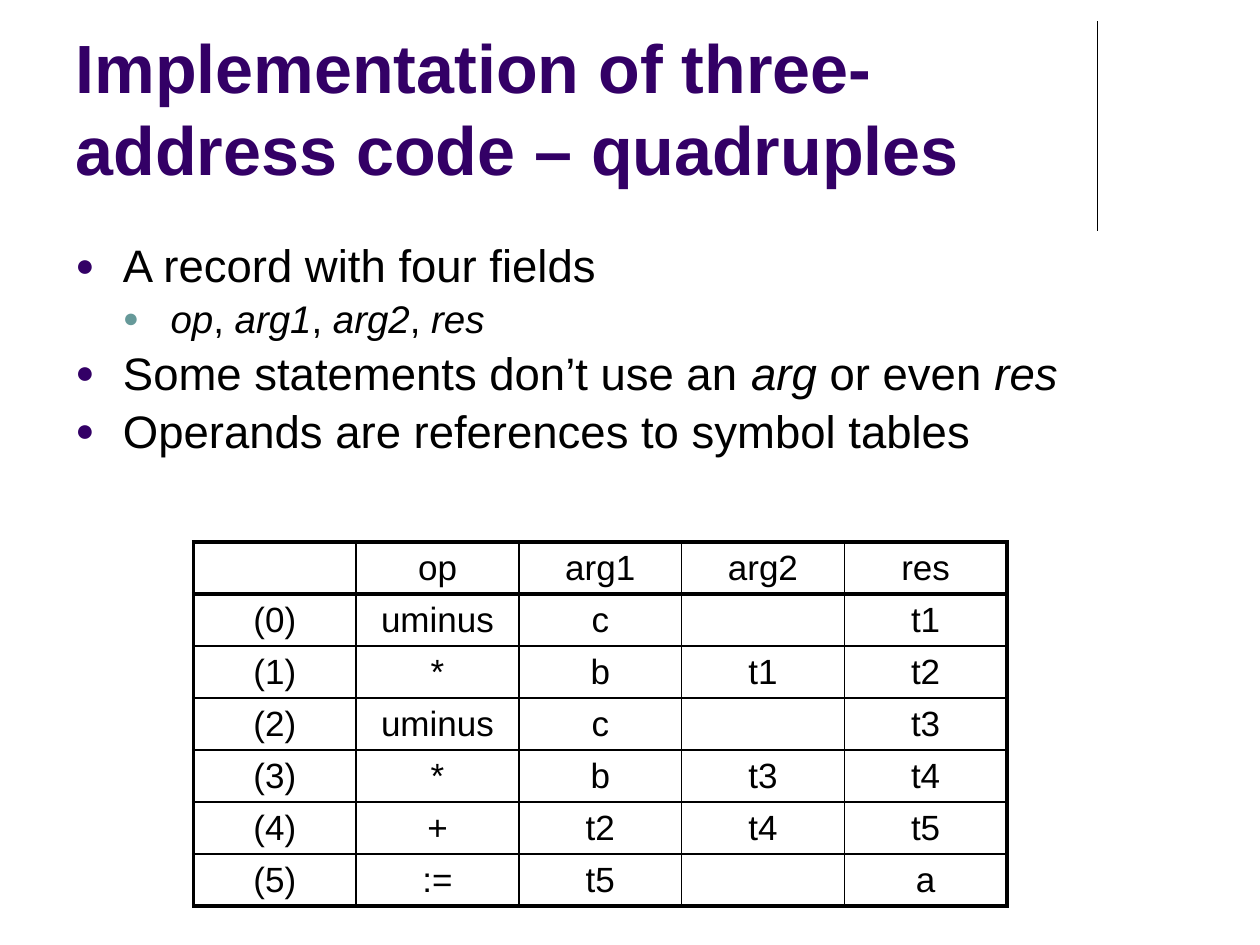
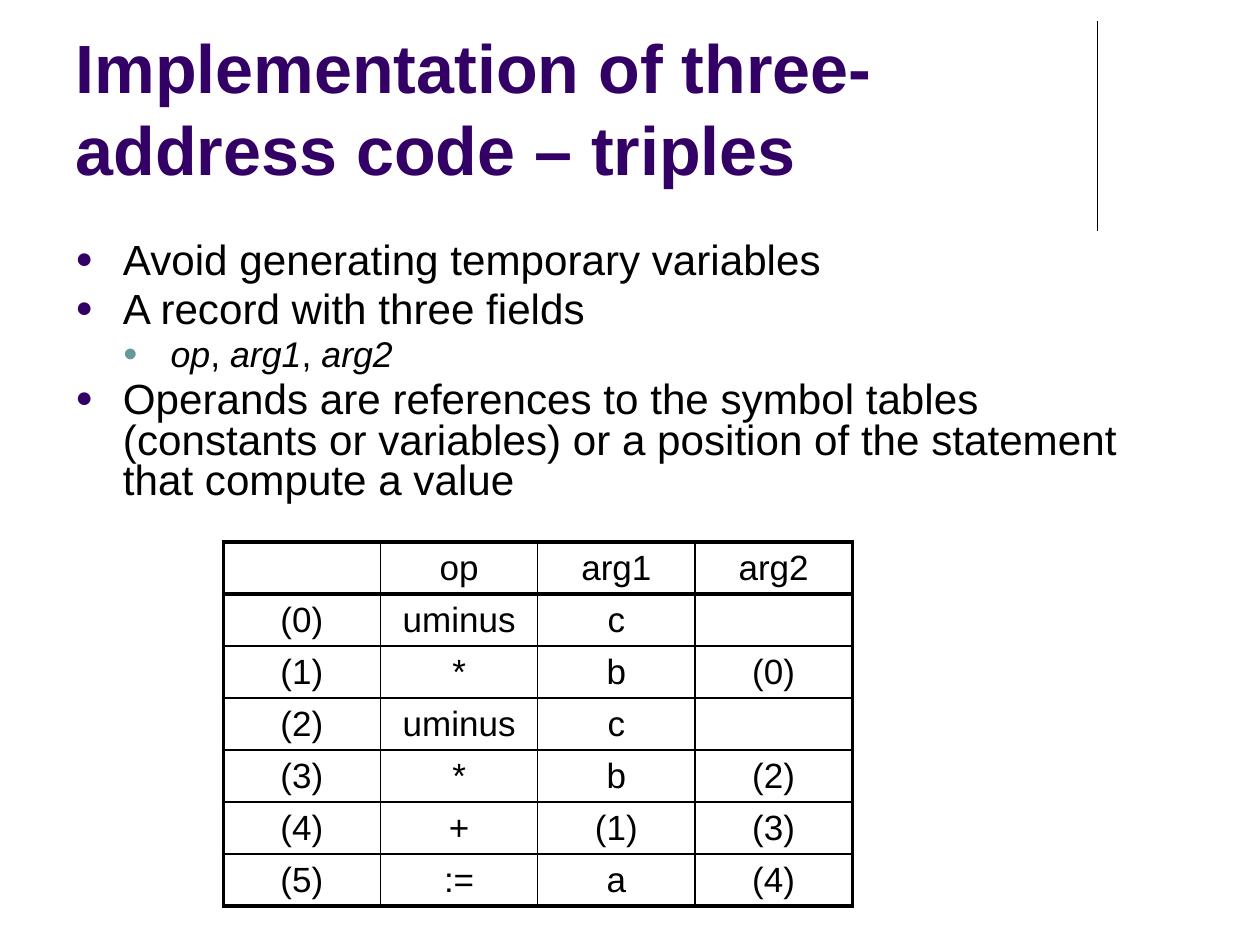
from dataclasses import dataclass

from lxml.etree import SubElement
from pptx import Presentation
from pptx.dml.color import RGBColor
from pptx.enum.shapes import MSO_CONNECTOR
from pptx.enum.text import MSO_ANCHOR, MSO_AUTO_SIZE, PP_ALIGN
from pptx.oxml.ns import qn
from pptx.util import Cm, Pt

FONT = "Arial"
PURPLE = "330066"
TEAL = "669999"
BLACK = "000000"
BULLET_COLOURS = (PURPLE, TEAL)
INDENT = 0.96
ROW_HEIGHT = 1.04
THIN, THICK = 1, 2.25


@dataclass(frozen=True)
class Bullet:
    text: str
    level: int = 0


@dataclass(frozen=True)
class CodeTable:
    left: float
    column_width: float
    rows: tuple[tuple[str, ...], ...]


@dataclass(frozen=True)
class CodePage:
    title: str
    bullets: tuple[Bullet, ...]
    bullet_sizes: tuple[float, float]
    line_spacing: float
    body_width: float
    table: CodeTable


PAGES = (
    CodePage(
        title="Implementation of three-address code – quadruples",
        bullets=(
            Bullet("A record with four fields"),
            Bullet("_op_, _arg1_, _arg2_, _res_", 1),
            Bullet("Some statements don’t use an _arg_ or even _res_"),
            Bullet("Operands are references to symbol tables"),
        ),
        bullet_sizes=(26, 22),
        line_spacing=0.9,
        body_width=22.02,
        table=CodeTable(3.9, 3.28, (
            ("", "op", "arg1", "arg2", "res"),
            ("(0)", "uminus", "c", "", "t1"),
            ("(1)", "*", "b", "t1", "t2"),
            ("(2)", "uminus", "c", "", "t3"),
            ("(3)", "*", "b", "t3", "t4"),
            ("(4)", "+", "t2", "t4", "t5"),
            ("(5)", ":=", "t5", "", "a"),
        )),
    ),
    CodePage(
        title="Implementation of three-address code – triples",
        bullets=(
            Bullet("Avoid generating temporary variables"),
            Bullet("A record with three fields"),
            Bullet("_op_, _arg1_, _arg2_", 1),
            Bullet("Operands are references to the symbol tables (constants or variables) "
                   "or a position of the statement that compute a value"),
        ),
        bullet_sizes=(24.1, 20.4),
        line_spacing=0.8,
        body_width=22.83,
        table=CodeTable(4.5, 3.17, (
            ("", "op", "arg1", "arg2"),
            ("(0)", "uminus", "c", ""),
            ("(1)", "*", "b", "(0)"),
            ("(2)", "uminus", "c", ""),
            ("(3)", "*", "b", "(2)"),
            ("(4)", "+", "(1)", "(3)"),
            ("(5)", ":=", "a", "(4)"),
        )),
    ),
)


def colour(value: str) -> RGBColor:
    return RGBColor.from_string(value)


def write(para, text: str, *, size: float, fill: str = BLACK, bold: bool = False,
          align=PP_ALIGN.LEFT, line_spacing: float = 1.0, space_before: float = 0) -> None:
    para.alignment = align
    para.line_spacing = line_spacing
    para.space_before = Pt(space_before)
    for index, part in enumerate(text.split("_")):
        if part:
            span = para.add_run()
            span.text = part
            span.font.name = FONT
            span.font.size = Pt(size)
            span.font.bold = bold
            span.font.italic = index % 2 == 1
            span.font.color.rgb = colour(fill)


def add_bullet_mark(para, level: int) -> None:
    para.level = level
    properties = para._p.get_or_add_pPr()
    properties.set("marL", str(Cm(INDENT * (level + 1))))
    properties.set("indent", str(Cm(-INDENT)))
    mark_colour = SubElement(properties, qn("a:buClr"))
    SubElement(mark_colour, qn("a:srgbClr"), val=BULLET_COLOURS[level])
    SubElement(properties, qn("a:buSzPct"), val="70000")
    SubElement(properties, qn("a:buFont"), typeface=FONT)
    SubElement(properties, qn("a:buChar"), char="●")


def set_title(page, text: str) -> None:
    title = page.shapes.title
    title.left, title.top, title.width, title.height = Cm(1.27), Cm(0.33), Cm(20.96), Cm(3.61)
    frame = title.text_frame
    frame.auto_size = MSO_AUTO_SIZE.NONE
    frame.vertical_anchor = MSO_ANCHOR.BOTTOM
    write(frame.paragraphs[0], text, size=39, fill=PURPLE, bold=True)


def add_side_rule(page) -> None:
    rule = page.shapes.add_connector(
        MSO_CONNECTOR.STRAIGHT, Cm(22.12), Cm(0.43), Cm(22.12), Cm(4.65))
    rule.line.color.rgb = colour(BLACK)
    rule.line.width = Pt(0.75)
    SubElement(rule._element.spPr, qn("a:effectLst"))


def add_bullets(page, content: CodePage) -> None:
    box = page.shapes.add_textbox(Cm(1.27), Cm(4.78), Cm(content.body_width), Cm(5.9))
    frame = box.text_frame
    frame.word_wrap = True
    for index, bullet in enumerate(content.bullets):
        para = frame.add_paragraph() if index else frame.paragraphs[0]
        size = content.bullet_sizes[bullet.level]
        write(para, bullet.text, size=size, line_spacing=content.line_spacing,
              space_before=round(size * 0.2, 1))
        add_bullet_mark(para, bullet.level)


def set_borders(cell, **widths: float) -> None:
    properties = cell._tc.get_or_add_tcPr()
    for side, width in widths.items():
        line = SubElement(properties, qn(f"a:ln{side}"), w=str(Pt(width)))
        fill = SubElement(line, qn("a:solidFill"))
        SubElement(fill, qn("a:srgbClr"), val=BLACK)


def add_code_table(page, content: CodeTable) -> None:
    row_count, column_count = len(content.rows), len(content.rows[0])
    table = page.shapes.add_table(
        row_count, column_count, Cm(content.left), Cm(10.93),
        Cm(content.column_width * column_count), Cm(ROW_HEIGHT * row_count)).table
    table.first_row = table.horz_banding = False
    for column in table.columns:
        column.width = Cm(content.column_width)
    for row_index, texts in enumerate(content.rows):
        table.rows[row_index].height = Cm(ROW_HEIGHT)
        for column_index, text in enumerate(texts):
            cell = table.cell(row_index, column_index)
            cell.vertical_anchor = MSO_ANCHOR.MIDDLE
            cell.margin_top = cell.margin_bottom = Cm(0.1)
            set_borders(
                cell,
                L=THICK if column_index == 0 else THIN,
                R=THICK if column_index == column_count - 1 else THIN,
                T=THICK if row_index < 2 else THIN,
                B=THICK if row_index in (0, row_count - 1) else THIN)
            cell.fill.background()
            if text:
                write(cell.text_frame.paragraphs[0], text, size=20, align=PP_ALIGN.CENTER)


def main() -> None:
    deck = Presentation()
    deck.slide_width, deck.slide_height = Cm(25.4), Cm(19.05)
    for content in PAGES:
        page = deck.slides.add_slide(deck.slide_layouts[5])
        add_side_rule(page)
        set_title(page, content.title)
        add_bullets(page, content)
        add_code_table(page, content.table)
    deck.save("out.pptx")


if __name__ == "__main__":
    main()
